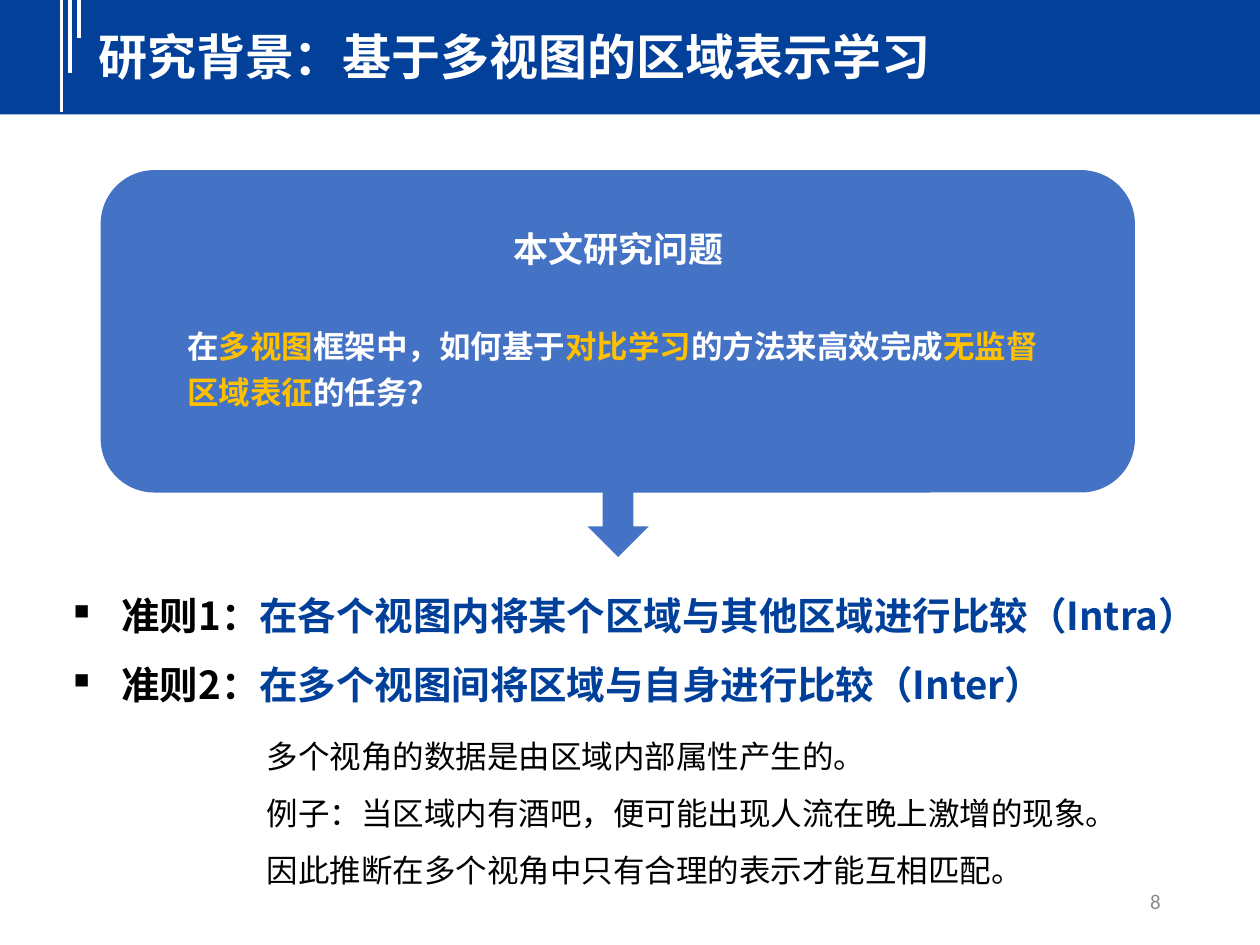
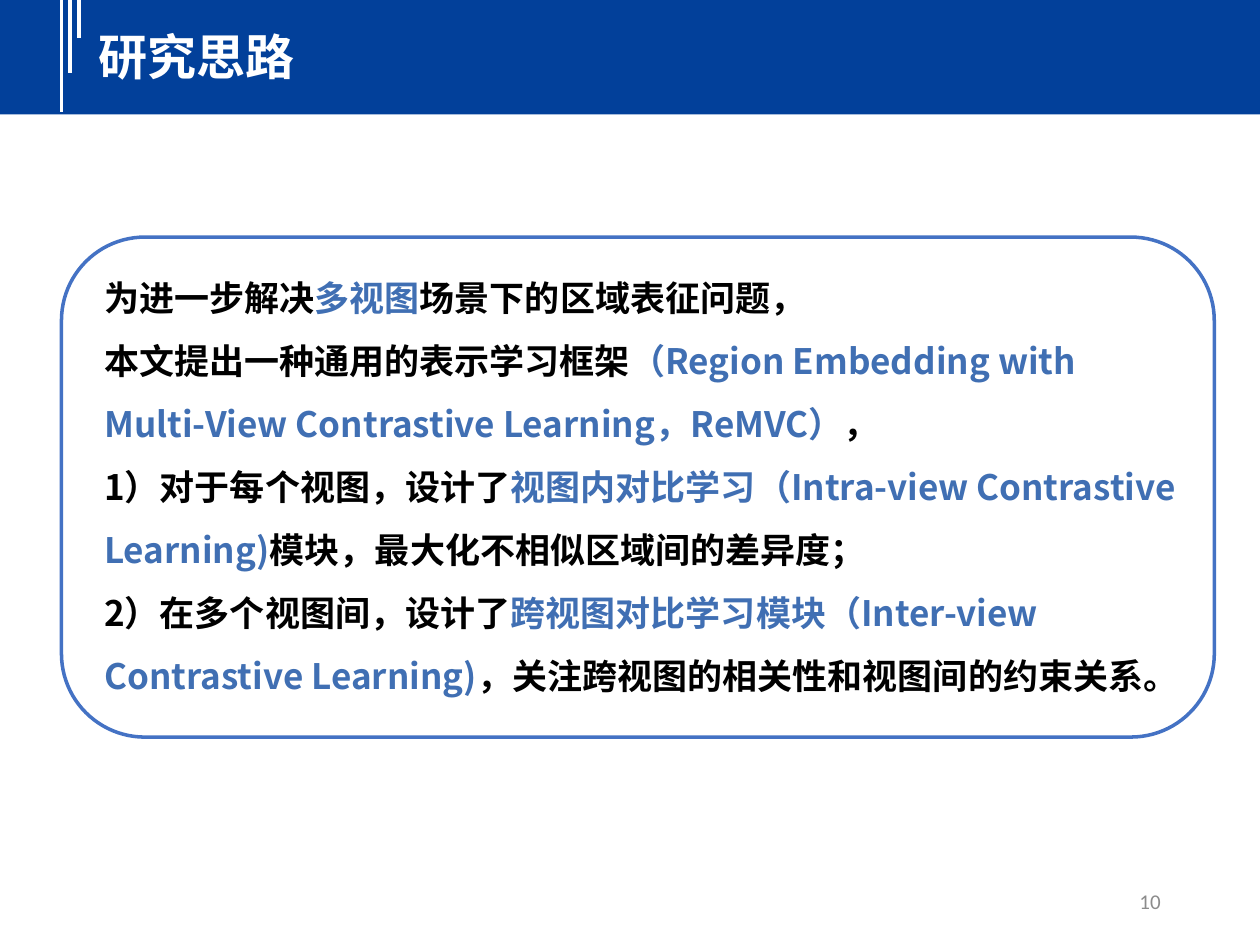
from lxml import etree
from pptx import Presentation
from pptx import util as u
from pptx.dml.color import RGBColor
from pptx.enum import lang, shapes, text
from pptx.oxml import ns

HAN_FONT = "Noto Sans CJK SC"
PAGE_FONT = "Calibri"
WHITE, BLACK, GRAY = "FFFFFF", "000000", "8C8C8C"
BAND_BLUE, RULE_BLUE, PANEL_BLUE, TERM_BLUE = "02409A", "00409A", "4472C4", "406FB3"
GOLD = "FFC000"

ALIGN = text.PP_ALIGN
ANCHOR = text.MSO_ANCHOR
PRESET = shapes.MSO_SHAPE


def color(hex_code):
    return RGBColor.from_string(hex_code)


def cm(*lengths):
    return [u.Cm(length) for length in lengths]


def add_child(parent, tag, **attributes):
    return etree.SubElement(parent, ns.qn(tag), attributes)


def set_bullet(paragraph, bulleted):
    """Give the paragraph a small square with a hanging indent, or no bullet."""
    properties = paragraph._p.get_or_add_pPr()
    indent = u.Cm(0.96) if bulleted else 0
    properties.set("marL", str(indent))
    properties.set("indent", str(-indent))
    if bulleted:
        add_child(properties, "a:buSzPct", val="55000")
        add_child(properties, "a:buFont", typeface="Wingdings", charset="2")
        add_child(properties, "a:buChar", char="n")
    else:
        add_child(properties, "a:buNone")


def write_text(shape, paragraphs, size, ink=BLACK, bold=False, font=HAN_FONT,
               align=ALIGN.LEFT, spacing=1.0, before=0, bulleted=False,
               anchor=ANCHOR.TOP, extend=False):
    """Fill a shape; a paragraph is a list of strings or (string, colour) pairs."""
    frame = shape.text_frame
    frame.word_wrap = True
    frame.auto_size = text.MSO_AUTO_SIZE.NONE
    frame.vertical_anchor = anchor
    frame.margin_left = frame.margin_right = u.Cm(0.25)
    frame.margin_top = frame.margin_bottom = u.Cm(0.13)
    for index, pieces in enumerate(paragraphs):
        fresh = extend or index > 0
        paragraph = frame.add_paragraph() if fresh else frame.paragraphs[0]
        set_bullet(paragraph, bulleted)
        paragraph.alignment = align
        paragraph.line_spacing = spacing
        paragraph.space_before = u.Pt(before)
        for piece in pieces:
            words, piece_ink = (piece, ink) if isinstance(piece, str) else piece
            run = paragraph.add_run()
            run.text = words
            run.font.size = u.Pt(size)
            run.font.bold = bold
            run.font.name = font
            run.font.language_id = lang.MSO_LANGUAGE_ID.SIMPLIFIED_CHINESE
            run.font.color.rgb = color(piece_ink)
            add_child(run.font._element, "a:ea", typeface=font)


def place(shape, *bounds):
    shape.left, shape.top, shape.width, shape.height = cm(*bounds)
    return shape


def add_text(slide, bounds, paragraphs, **text_format):
    box = slide.shapes.add_textbox(*cm(*bounds))
    write_text(box, paragraphs, **text_format)
    return box


def add_block(slide, preset, bounds, fill=None, outline=None):
    block = slide.shapes.add_shape(preset, *cm(*bounds))
    block.shadow.inherit = False
    if fill:
        block.fill.solid()
        block.fill.fore_color.rgb = color(fill)
    else:
        block.fill.background()
    if outline:
        block.line.color.rgb = color(outline)
        block.line.width = u.Pt(2)
    else:
        block.line.fill.background()
    return block


def add_stripe(slide, x, bottom):
    stripe = slide.shapes.add_connector(
        shapes.MSO_CONNECTOR.STRAIGHT, *cm(x, 0, x, bottom))
    stripe.line.color.rgb = color(WHITE)
    stripe.line.width = u.Pt(2.25)
    add_child(stripe._element.spPr, "a:effectLst")


def add_page(deck, heading, number):
    """Add a slide with the title band, its stripes and the page number."""
    slide = deck.slides.add_slide(deck.slide_layouts[1])
    add_block(slide, PRESET.RECTANGLE, (0, 0, 25.4, 2.31), fill=BAND_BLUE)
    for index, bottom in enumerate((2.26, 1.47, 0.76)):
        add_stripe(slide, 1.24 + 0.18 * index, bottom)
    title = place(slide.shapes.title, 1.73, 0.41, 23.6, 1.45)
    title.element.getparent().append(title.element)  # in front of the band
    write_text(title, [[heading]], size=28, ink=WHITE, bold=True)
    add_text(slide, (17.93, 17.65, 5.72, 1.02), [[number]], size=12, ink=GRAY,
             font=PAGE_FONT, align=ALIGN.RIGHT, anchor=ANCHOR.MIDDLE)
    return slide


def build_background(deck):
    slide = add_page(deck, "研究背景：基于多视图的区域表示学习", "8")
    add_block(slide, PRESET.DOWN_ARROW, (11.84, 9.45, 1.24, 1.78), fill=PANEL_BLUE)
    add_block(slide, PRESET.ROUNDED_RECTANGLE, (2.03, 3.43, 20.85, 6.5),
              fill=PANEL_BLUE)
    question = add_text(slide, (3.53, 4.45, 17.88, 3.73), [["本文研究问题"]],
                        size=20, ink=WHITE, bold=True, align=ALIGN.CENTER)
    write_text(question, [[
        "在", ("多视图", GOLD), "框架中，如何基于", ("对比学习", GOLD),
        "的方法来高效完成", ("无监督区域表征", GOLD), "的任务？",
    ]], size=18, ink=WHITE, bold=True, spacing=1.2, before=29, extend=True)

    rules = place(slide.placeholders[1], 1.24, 11.33, 24.16, 2.92)
    write_text(rules, [
        ["准则1：", ("在各个视图内将某个区域与其他区域进行比较（Intra）", RULE_BLUE)],
        ["准则2：", ("在多个视图间将区域与自身进行比较（Inter）", RULE_BLUE)],
    ], size=22, bold=True, spacing=1.5, bulleted=True)
    add_text(slide, (5.13, 14.35, 17.75, 3.58), [
        ["多个视角的数据是由区域内部属性产生的。"],
        ["例子：当区域内有酒吧，便可能出现人流在晚上激增的现象。"],
        ["因此推断在多个视角中只有合理的表示才能互相匹配。"],
    ], size=18, spacing=1.5)


def build_approach(deck):
    slide = add_page(deck, "研究思路", "10")
    approach = place(slide.placeholders[1], 1.85, 5.03, 22.28, 9.09)
    write_text(approach, [
        ["为进一步解决", ("多视图", TERM_BLUE), "场景下的区域表征问题，"],
        ["本文提出一种通用的表示学习框架",
         ("（Region Embedding with Multi-View Contrastive Learning，ReMVC）", TERM_BLUE),
         "，"],
        ["1）对于每个视图，设计了",
         ("视图内对比学习（Intra-view Contrastive Learning)", TERM_BLUE),
         "模块，最大化不相似区域间的差异度；"],
        ["2）在多个视图间，设计了",
         ("跨视图对比学习模块（Inter-view Contrastive Learning)", TERM_BLUE),
         "，关注跨视图的相关性和视图间的约束关系。"],
    ], size=20, bold=True, spacing=1.5)
    add_block(slide, PRESET.ROUNDED_RECTANGLE, (1.24, 4.78, 23.24, 10.08),
              outline=PANEL_BLUE)


def main():
    deck = Presentation()
    deck.slide_width, deck.slide_height = cm(25.4, 19.05)
    build_background(deck)
    build_approach(deck)
    deck.save("out.pptx")


if __name__ == "__main__":
    main()
